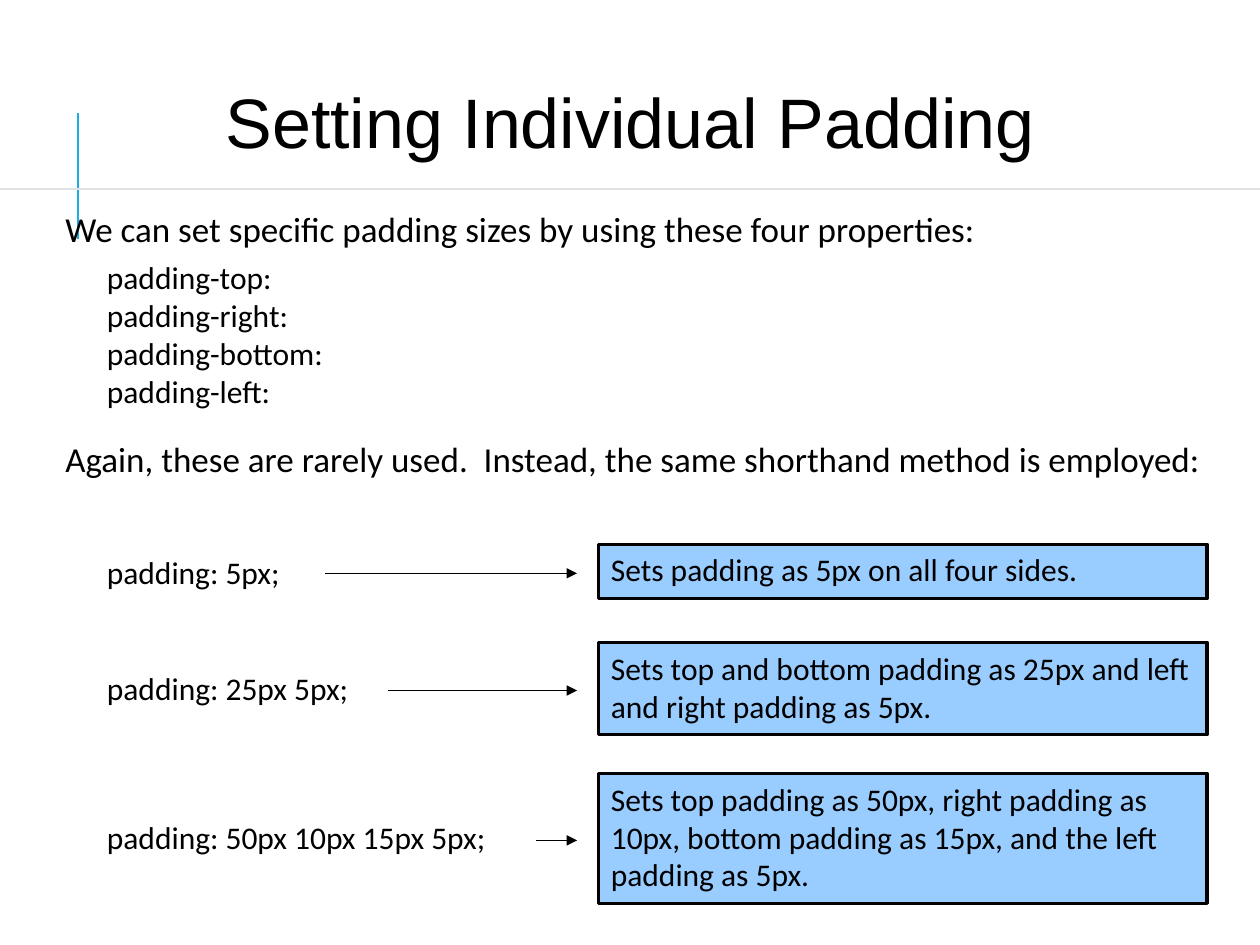
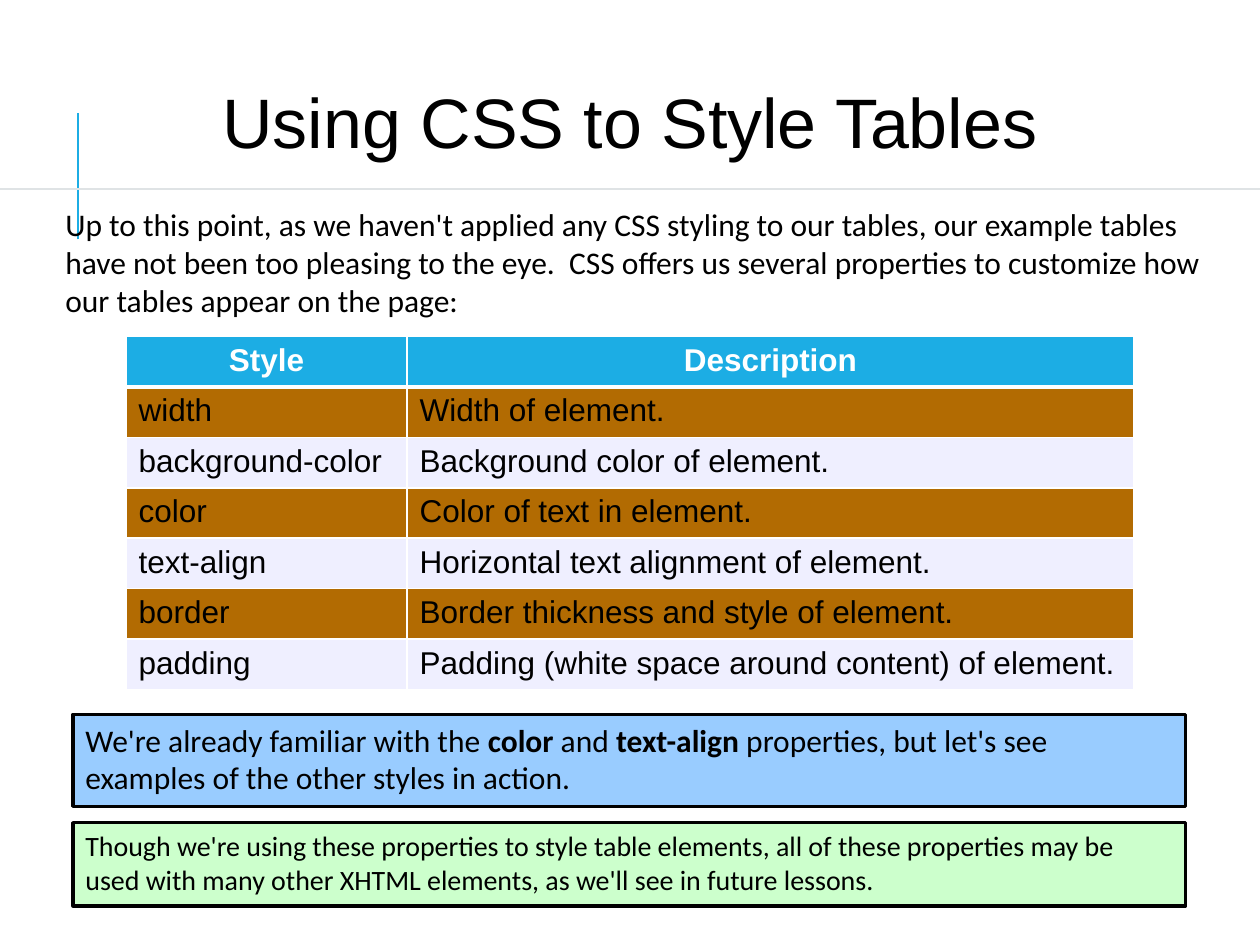
from dataclasses import dataclass
from typing import NamedTuple

from lxml import etree
from pptx import Presentation
from pptx import util as u
from pptx.dml.color import RGBColor
from pptx.enum import shapes, text
from pptx.oxml.ns import qn


@dataclass(frozen=True)
class Theme:
    heading: str = "Arial"
    body: str = "Calibri"
    black: str = "000000"
    white: str = "FFFFFF"
    accent: str = "1CADE4"
    rule: str = "DFE3E5"
    blue: str = "99CCFF"
    green: str = "CCFFCC"
    brown: str = "B26B02"
    pale: str = "EFEFFF"
    title_size: int = 40
    lead_size: int = 20
    body_size: int = 18
    note_size: int = 16


class Box(NamedTuple):
    left: float
    top: float
    width: float
    height: float


class Run(NamedTuple):
    text: str
    bold: bool = False


class Shorthand(NamedTuple):
    """One shorthand rule, its arrow and the callout that explains it."""
    code: str
    code_box: Box
    arrow_left: float
    arrow_y: float
    meaning: str
    top: float
    height: float


THEME = Theme()
LEFT, WIDTH, INDENT = 0.42, 9.25, 0.75
CALLOUT_LEFT, CALLOUT_WIDTH, ARROW_RIGHT = 4.75, 4.83, 4.58
NOTE_LEFT, NOTE_WIDTH = 0.58, 8.83

SIDES = ["padding-top:", "padding-right:", "padding-bottom:", "padding-left:"]
SHORTHANDS = [
    Shorthand("padding: 5px;", Box(INDENT, 4.34, 2, 0.4), 2.58, 4.55,
              "Sets padding as 5px on all four sides.", 4.32, 0.43),
    Shorthand("padding: 25px 5px;", Box(INDENT, 5.26, 2.42, 0.4), 3.08, 5.48,
              "Sets top and bottom padding as 25px and left and right padding as 5px.",
              5.1, 0.73),
    Shorthand("padding: 50px 10px 15px 5px;", Box(INDENT, 6.44, 3.58, 0.4), 4.25, 6.67,
              "Sets top padding as 50px, right padding as 10px, bottom padding as 15px, "
              "and the left padding as 5px.", 6.14, 1.03),
]
STYLES = [
    ("Style", "Description"),
    ("width", "Width of element."),
    ("background-color", "Background color of element."),
    ("color", "Color of text in element."),
    ("text-align", "Horizontal text alignment of element."),
    ("border", "Border thickness and style of element."),
    ("padding", "Padding (white space around content) of element."),
]


def rgb(color: str) -> RGBColor:
    return RGBColor.from_string(color)


def place(box: Box) -> list[u.Inches]:
    return [u.Inches(v) for v in box]


def add_runs(p, runs: list[Run], size: int, font: str = THEME.body,
             color: str = THEME.black) -> None:
    for run in runs:
        r = p.add_run()
        r.text = run.text
        r.font.name = font
        r.font.size = u.Pt(size)
        r.font.bold = run.bold
        r.font.color.rgb = rgb(color)


def add_text(s, box: Box, lines: list[str], size: int = THEME.body_size) -> None:
    tf = s.shapes.add_textbox(*place(box)).text_frame
    tf.word_wrap = True
    tf.auto_size = text.MSO_AUTO_SIZE.SHAPE_TO_FIT_TEXT
    for i, line in enumerate(lines):
        p = tf.add_paragraph() if i else tf.paragraphs[0]
        add_runs(p, [Run(line)], size)


def add_callout(s, box: Box, runs: list[Run], fill: str = THEME.blue,
                size: int = THEME.body_size) -> None:
    sp = s.shapes.add_shape(shapes.MSO_SHAPE.RECTANGLE, *place(box))
    sp.shadow.inherit = False
    sp.fill.solid()
    sp.fill.fore_color.rgb = rgb(fill)
    sp.line.color.rgb = rgb(THEME.black)
    sp.line.width = u.Pt(2)
    tf = sp.text_frame
    tf.word_wrap = True
    tf.auto_size = text.MSO_AUTO_SIZE.SHAPE_TO_FIT_TEXT
    tf.vertical_anchor = text.MSO_ANCHOR.TOP
    p = tf.paragraphs[0]
    p.alignment = text.PP_ALIGN.LEFT
    p.space_before = p.space_after = u.Pt(6)
    add_runs(p, runs, size)


def add_line(s, start: tuple[float, float], end: tuple[float, float], color: str,
             width: float, arrow: bool = False) -> None:
    points = [u.Inches(v) for v in (*start, *end)]
    line = s.shapes.add_connector(shapes.MSO_CONNECTOR.STRAIGHT, *points)
    line.line.color.rgb = rgb(color)
    line.line.width = u.Pt(width)
    if arrow:
        etree.SubElement(line.line._get_or_add_ln(), qn("a:tailEnd"), type="triangle")
    etree.SubElement(line._element.spPr, qn("a:effectLst"))


def add_titled_slide(prs, title: str):
    s = prs.slides.add_slide(prs.slide_layouts[6])
    add_line(s, (0.62, 1.9), (0.62, 0.9), THEME.accent, 1.5)
    add_line(s, (0, 1.5), (10, 1.5), THEME.rule, 1.25)
    tf = s.shapes.add_textbox(*place(Box(0.5, 0.42, 9, 1.08))).text_frame
    tf.word_wrap = True
    tf.vertical_anchor = text.MSO_ANCHOR.MIDDLE
    p = tf.paragraphs[0]
    p.alignment = text.PP_ALIGN.CENTER
    add_runs(p, [Run(title)], THEME.title_size, THEME.heading)
    return s


def set_borders(cell, widths: dict[str, float]) -> None:
    """Draw white cell borders; they must be set before the cell's fill."""
    tc_pr = cell._tc.get_or_add_tcPr()
    for side, width in widths.items():
        ln = etree.SubElement(tc_pr, qn(f"a:ln{side}"), w=str(u.Pt(width)))
        fill = etree.SubElement(ln, qn("a:solidFill"))
        etree.SubElement(fill, qn("a:srgbClr"), val=THEME.white)


def add_style_table(s, box: Box, col_widths: list[float]) -> None:
    table = s.shapes.add_table(len(STYLES), len(col_widths), *place(box)).table
    for column, width in zip(table.columns, col_widths):
        column.width = u.Inches(width)
    for i, row in enumerate(STYLES):
        header = i == 0
        fill = THEME.accent if header else THEME.brown if i % 2 else THEME.pale
        for j, value in enumerate(row):
            cell = table.cell(i, j)
            set_borders(cell, {"L": 1, "R": 1, "T": 3 if i == 1 else 1,
                               "B": 3 if header else 1})
            cell.fill.solid()
            cell.fill.fore_color.rgb = rgb(fill)
            p = cell.text_frame.paragraphs[0]
            p.alignment = text.PP_ALIGN.CENTER if header else text.PP_ALIGN.LEFT
            add_runs(p, [Run(value, header)], THEME.body_size, THEME.heading,
                     THEME.white if header else THEME.black)


def build_padding_slide(prs) -> None:
    s = add_titled_slide(prs, "Setting Individual Padding")
    add_text(s, Box(LEFT, 1.6, WIDTH, 0.43),
             ["We can set specific padding sizes by using these four properties:"],
             THEME.lead_size)
    add_text(s, Box(INDENT, 2, 2.08, 1.3), SIDES)
    add_text(s, Box(LEFT, 3.42, WIDTH, 0.77),
             ["Again, these are rarely used.  Instead, the same shorthand method "
              "is employed:"], THEME.lead_size)
    for item in SHORTHANDS:
        add_text(s, item.code_box, [item.code])
        add_callout(s, Box(CALLOUT_LEFT, item.top, CALLOUT_WIDTH, item.height),
                    [Run(item.meaning)])
        add_line(s, (item.arrow_left, item.arrow_y), (ARROW_RIGHT, item.arrow_y),
                 THEME.black, 0.75, arrow=True)


def build_table_slide(prs) -> None:
    s = add_titled_slide(prs, "Using CSS to Style Tables")
    add_text(s, Box(LEFT, 1.58, WIDTH, 1),
             ["Up to this point, as we haven't applied any CSS styling to our tables, "
              "our example tables have not been too pleasing to the eye.  CSS offers us "
              "several properties to customize how our tables appear on the page:"])
    add_style_table(s, Box(1, 2.67, 8, 2.8), [2.23, 5.77])
    add_callout(s, Box(NOTE_LEFT, 5.67, NOTE_WIDTH, 0.73), [
        Run("We're already familiar with the "), Run("color", True), Run(" and "),
        Run("text-align", True),
        Run(" properties, but let's see examples of the other styles in action.")])
    add_callout(s, Box(NOTE_LEFT, 6.53, NOTE_WIDTH, 0.66), [
        Run("Though we're using these properties to style table elements, all of these "
            "properties may be used with many other XHTML elements, as we'll see in "
            "future lessons.")], THEME.green, THEME.note_size)


def main() -> None:
    prs = Presentation()
    prs.slide_width, prs.slide_height = u.Inches(10), u.Inches(7.5)
    build_padding_slide(prs)
    build_table_slide(prs)
    prs.save("out.pptx")


if __name__ == "__main__":
    main()
